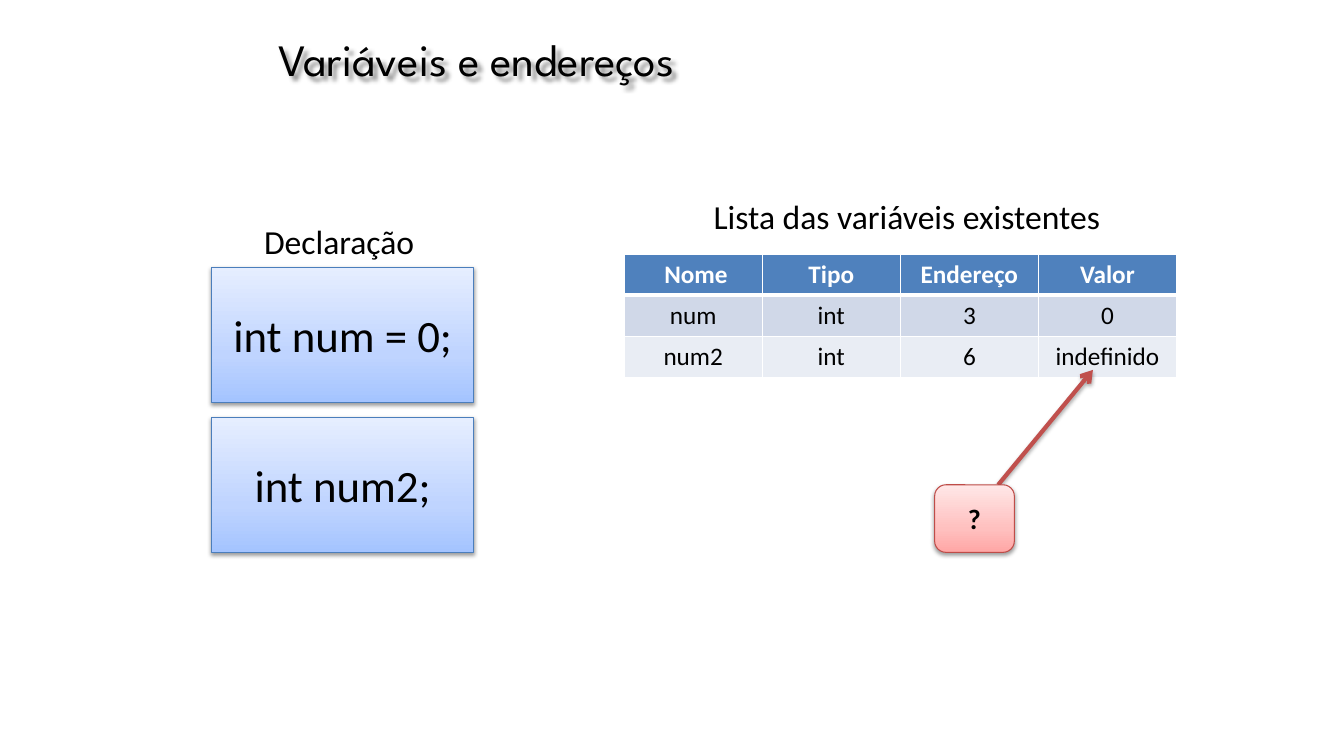
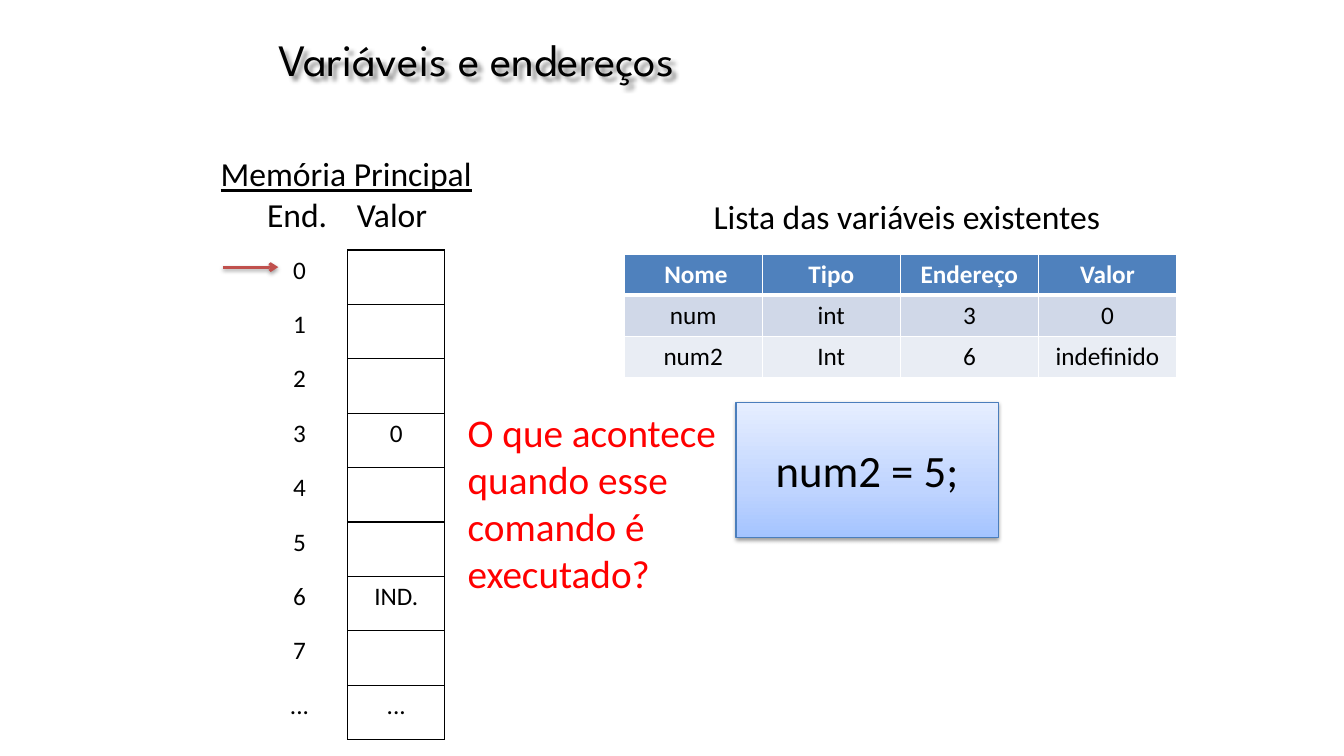
from dataclasses import dataclass
from typing import NamedTuple

from lxml.etree import SubElement
from pptx import Presentation
from pptx.dml.color import RGBColor
from pptx.enum.shapes import MSO_CONNECTOR, MSO_SHAPE
from pptx.enum.text import MSO_ANCHOR, MSO_AUTO_SIZE, PP_ALIGN
from pptx.oxml.ns import qn
from pptx.util import Emu, Pt


@dataclass(frozen=True)
class Theme:
    title_font: str = "League Spartan"
    body_font: str = "Calibri"
    black: str = "000000"
    white: str = "FFFFFF"
    alert: str = "FF0000"
    arrow: str = "C0504D"
    header: str = "4F81BD"
    bands: tuple = ("D0D8E8", "E9EDF4")
    large: int = 32
    question: int = 28
    label: int = 24
    mark: int = 20
    cell: int = 18


class Area(NamedTuple):
    left: int
    top: int
    width: int
    height: int


class Shadow(NamedTuple):
    opacity: int
    blur: float
    distance: float
    angle: int


class Skin(NamedTuple):
    stops: tuple
    outline: str


@dataclass(frozen=True)
class Panel:
    text: str
    area: Area
    skin: Skin
    size: int
    bold: bool = False
    preset: MSO_SHAPE = MSO_SHAPE.RECTANGLE


@dataclass(frozen=True)
class Label:
    text: str
    area: Area
    size: int
    color: str
    wrap: bool = False


@dataclass(frozen=True)
class Arrow:
    start: tuple
    end: tuple
    weight: int
    shadow: Shadow


THEME = Theme()
BLUE = Skin(("A4C4FF", "BFD4FF", "E6EEFF"), "4B7EBC")
RED = Skin(("FFA6A5", "FFC0BF", "FFE7E7"), "BF4C48")
STOP_POSITIONS = (0, 35, 100)
SOFT = Shadow(38, 3.1, 1.6, 90)
ARROW_SHADOW = Shadow(35, 3.1, 1.8, 90)
TITLE_SHADOW = Shadow(43, 3, 4, 45)
TITLE_ONLY = 5
PANEL_WIDTH, PANEL_HEIGHT = 260, 134


def px(length: int) -> Emu:
    """One hundred px make an inch."""
    return Emu(length * 9144)


def rgb(color: str) -> RGBColor:
    return RGBColor.from_string(color)


def place(area: Area) -> tuple:
    return tuple(px(length) for length in area)


# Formatting helpers
def format_text(frame, size: int, color: str, font: str = THEME.body_font,
                bold: bool = False, align: PP_ALIGN = PP_ALIGN.LEFT) -> None:
    for para in frame.paragraphs:
        para.alignment = align
        for span in para.runs:
            span.font.name = font
            span.font.size = Pt(size)
            span.font.bold = bold
            span.font.color.rgb = rgb(color)


def add_color(parent, color: str):
    return SubElement(parent, qn("a:srgbClr"), val=color)


def cast_shadow(shape, shadow: Shadow) -> None:
    effects = SubElement(shape._element.spPr, qn("a:effectLst"))
    outer = SubElement(effects, qn("a:outerShdw"), blurRad=str(Pt(shadow.blur)),
                       dist=str(Pt(shadow.distance)), dir=str(shadow.angle * 60000),
                       rotWithShape="0")
    SubElement(add_color(outer, THEME.black), qn("a:alpha"), val=str(shadow.opacity * 1000))


def set_borders(cell, **borders: tuple) -> None:
    """Each border is a colour and a width, keyed by side L, R, T or B."""
    properties = cell._tc.get_or_add_tcPr()
    sides = [side for side in "LRTB" if side in borders]
    for index, side in enumerate(sides):
        color, width = borders[side]
        line = SubElement(properties, qn(f"a:ln{side}"), w=str(Pt(width)))
        add_color(SubElement(line, qn("a:solidFill")), color)
        properties.insert(index, line)


# Parts of a slide
def add_titled_page(deck):
    page = deck.slides.add_slide(deck.slide_layouts[TITLE_ONLY])
    title = page.shapes.title
    title.left, title.top, title.width, title.height = place(Area(0, 16, 956, 84))
    frame = title.text_frame
    frame.text = "Variáveis e endereços "
    frame.auto_size = MSO_AUTO_SIZE.NONE
    frame.vertical_anchor = MSO_ANCHOR.MIDDLE
    format_text(frame, THEME.large, THEME.black, THEME.title_font, align=PP_ALIGN.CENTER)
    cast_shadow(title, TITLE_SHADOW)
    return page


def add_panel(page, panel: Panel) -> None:
    box = page.shapes.add_shape(panel.preset, *place(panel.area))
    box.fill.gradient()
    box.fill.gradient_angle = 90
    stops = box._element.spPr.find(f".//{qn('a:gsLst')}")
    stops.clear()
    for position, color in zip(STOP_POSITIONS, panel.skin.stops):
        add_color(SubElement(stops, qn("a:gs"), pos=str(position * 1000)), color)
    box.line.color.rgb = rgb(panel.skin.outline)
    box.line.width = Pt(0.75)
    cast_shadow(box, SOFT)
    box.text_frame.text = panel.text
    box.text_frame.vertical_anchor = MSO_ANCHOR.MIDDLE
    format_text(box.text_frame, panel.size, THEME.black, bold=panel.bold,
                align=PP_ALIGN.CENTER)


def add_label(page, label: Label):
    box = page.shapes.add_textbox(*place(label.area))
    frame = box.text_frame
    frame.text = label.text
    frame.word_wrap = label.wrap
    frame.auto_size = MSO_AUTO_SIZE.SHAPE_TO_FIT_TEXT
    format_text(frame, label.size, label.color)
    return frame


def add_arrow(page, arrow: Arrow) -> None:
    points = [px(length) for length in (*arrow.start, *arrow.end)]
    connector = page.shapes.add_connector(MSO_CONNECTOR.STRAIGHT, *points)
    connector.line.color.rgb = rgb(THEME.arrow)
    connector.line.width = Pt(arrow.weight)
    line = connector._element.spPr.find(qn("a:ln"))
    SubElement(line, qn("a:tailEnd"), type="arrow")
    cast_shadow(connector, arrow.shadow)


def add_grid(page, rows: list, left: int, top: int, column: int, row: int):
    area = Area(left, top, column * len(rows[0]), row * len(rows))
    table = page.shapes.add_table(len(rows), len(rows[0]), *place(area)).table
    table.horz_banding = False
    for row_index, values in enumerate(rows):
        table.rows[row_index].height = px(row)
        for column_index, value in enumerate(values):
            table.columns[column_index].width = px(column)
            cell = table.cell(row_index, column_index)
            cell.text = value
            format_text(cell.text_frame, THEME.cell, THEME.black, align=PP_ALIGN.CENTER)
    return table


def add_variable_list(page, second_type: str) -> None:
    add_label(page, Label("Lista das variáveis existentes", Area(698, 189, 407, 50),
                          THEME.label, THEME.black))
    rows = [
        (" Nome", "Tipo", "Endereço", "Valor"),
        ("num", "int", "3", "0"),
        ("num2", second_type, "6", "indefinido"),
    ]
    table = add_grid(page, rows, 619, 252, 137, 41)
    thin, thick = (THEME.white, 1), (THEME.white, 3)
    for index, fill in enumerate((THEME.header, *THEME.bands)):
        for cell in table.rows[index].cells:
            cell.fill.solid()
            cell.fill.fore_color.rgb = rgb(fill)
            set_borders(cell, L=thin, R=thin, T=thick if index == 1 else thin,
                        B=thick if index == 0 else thin)
            if index == 0:
                format_text(cell.text_frame, THEME.cell, THEME.white, bold=True,
                            align=PP_ALIGN.CENTER)


def add_memory(page) -> None:
    heading = add_label(page, Label("Memória Principal\n\tEnd.\tValor", Area(209, 147, 271, 91),
                                    THEME.label, THEME.black, wrap=True))
    title_line, column_line = heading.paragraphs
    title_line.runs[0].font.underline = True
    tabs = SubElement(column_line._p.get_or_add_pPr(), qn("a:tabLst"))
    for position in (46, 135):
        SubElement(tabs, qn("a:tab"), pos=str(px(position)), algn="l")

    stored = {"3": "0", "6": "IND.", "...": "..."}
    addresses = [*map(str, range(8)), "..."]
    rows = [(address, stored.get(address, "")) for address in addresses]
    table = add_grid(page, rows, 249, 248, 96, 54)
    table.first_row = False
    edge = (THEME.black, 1)
    for row in table.rows:
        address, value = row.cells
        for cell in (address, value):
            cell.fill.background()
        set_borders(address, R=edge)
        set_borders(value, L=edge, R=edge, T=edge, B=edge)


# Slides
def build_declaration(deck) -> None:
    page = add_titled_page(deck)
    for index, code in enumerate(("int num = 0;", "int num2;")):
        area = Area(210, 265 + index * 149, PANEL_WIDTH, PANEL_HEIGHT)
        add_panel(page, Panel(code, area, BLUE, THEME.large))
    add_label(page, Label("Declaração", Area(252, 214, 171, 50), THEME.label, THEME.black))
    add_variable_list(page, "int")
    add_arrow(page, Arrow((990, 481), (1084, 367), 3, ARROW_SHADOW))
    add_panel(page, Panel("?", Area(927, 481, 79, 67), RED, THEME.mark, bold=True,
                          preset=MSO_SHAPE.ROUNDED_RECTANGLE))


def build_memory(deck) -> None:
    page = add_titled_page(deck)
    add_memory(page)
    add_panel(page, Panel("num2 = 5;", Area(730, 399, PANEL_WIDTH, PANEL_HEIGHT),
                          BLUE, THEME.large))
    add_arrow(page, Arrow((221, 265), (276, 265), 2, SOFT))
    add_variable_list(page, "Int")
    add_label(page, Label("O que acontece quando esse comando é executado?",
                          Area(454, 400, 268, 199), THEME.question, THEME.alert, wrap=True))


def main() -> None:
    deck = Presentation()
    deck.slide_width, deck.slide_height = px(1333), px(750)
    build_declaration(deck)
    build_memory(deck)
    deck.save("out.pptx")


if __name__ == "__main__":
    main()
